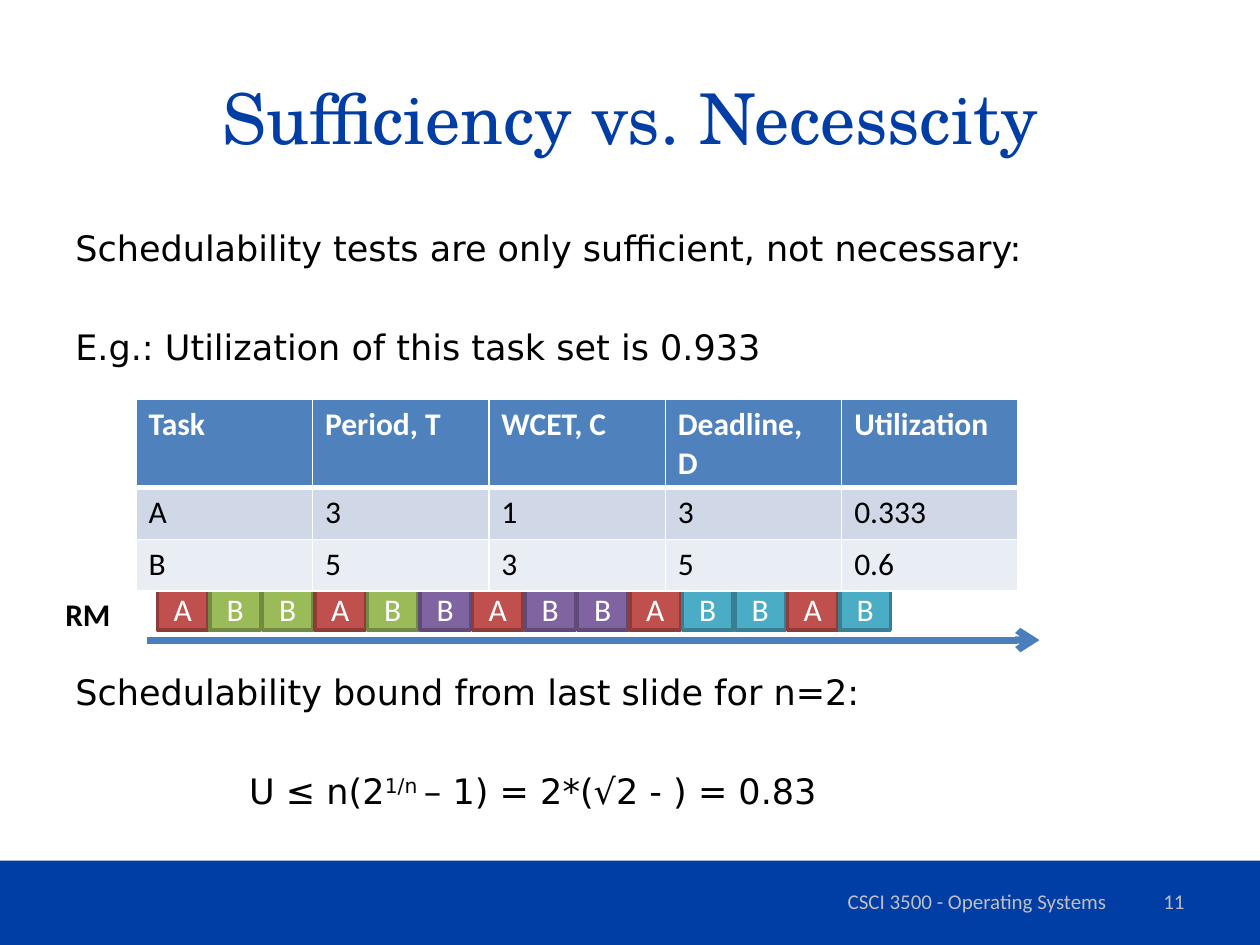
"""Build the slide on sufficiency versus necessity of schedulability tests."""
from pptx import Presentation, util as u
from pptx.dml.color import RGBColor
from pptx.enum import shapes, text
from pptx.oxml import parse_xml
from pptx.oxml.ns import nsdecls

W, H = 10, 7.5
TITLE = "Sufficiency vs. Necesscity"
FORMULA = [("U ≤ n(2", 0), ("1/n ", 30), ("– 1) = 2*(√2 - ) = 0.83", 0)]
BODY = [
    (0, "Schedulability tests are only sufficient, not necessary:"),
    (2, "E.g.: Utilization of this task set is 0.933"),
    (7, "Schedulability bound from last slide for n=2:"),
    (2, FORMULA),
]
TASKS = [
    ("Task", "Period, T", "WCET, C", "Deadline, D", "Utilization"),
    ("A", "3", "1", "3", "0.333"),
    ("B", "5", "3", "5", "0.6"),
]
SCHEDULE = "ABBABBABBABBAB"
PERIOD_B = 5
SLOT = 5 / 12
LINE_PITCH, LINE_HEIGHT = 28, 23.3

BLUE = RGBColor(0x00, 0x3D, 0xA5)
GREY = RGBColor(0xBF, 0xBF, 0xBF)
BLACK = RGBColor(0, 0, 0)
WHITE = RGBColor(0xFF, 0xFF, 0xFF)
AXIS = RGBColor(0x4B, 0x7E, 0xBC)
ROW_FILLS = [RGBColor(0x4F, 0x81, 0xBD), RGBColor(0xD0, 0xD8, 0xE8), RGBColor(0xE9, 0xED, 0xF4)]
JOB_A = (RGBColor(0xC0, 0x50, 0x4D), RGBColor(0x8E, 0x3B, 0x39))
JOBS_B = [
    (RGBColor(0x9B, 0xBB, 0x59), RGBColor(0x73, 0x8A, 0x42)),
    (RGBColor(0x80, 0x64, 0xA2), RGBColor(0x5F, 0x4A, 0x78)),
    (RGBColor(0x4B, 0xAC, 0xC6), RGBColor(0x37, 0x7F, 0x92)),
]
ALIGN, ANCHOR = text.PP_ALIGN, text.MSO_ANCHOR


def inches(*lengths):
    return [u.Inches(n) for n in lengths]


def style(font, size, color, name="Calibri", bold=False):
    font.size, font.name, font.bold = u.Pt(size), name, bold
    font.color.rgb = color


def add_text(s, at, words, size, color, name="Calibri", align=ALIGN.LEFT,
             anchor=ANCHOR.MIDDLE, bold=False, wrap=True):
    tf = s.shapes.add_textbox(*inches(*at)).text_frame
    tf.word_wrap, tf.vertical_anchor = wrap, anchor
    p = tf.paragraphs[0]
    p.text, p.alignment = words, align
    style(p.runs[0].font, size, color, name, bold)


def add_rect(s, at, fill):
    sp = s.shapes.add_shape(shapes.MSO_SHAPE.RECTANGLE, *inches(*at))
    sp.shadow.inherit = False
    sp.fill.solid()
    sp.fill.fore_color.rgb = fill
    return sp


def add_body(s):
    tf = s.shapes.add_textbox(*inches(0.5, 1.75, 9, 4.95)).text_frame
    tf.word_wrap = True
    for i, (lines, content) in enumerate(BODY):
        p = tf.add_paragraph() if i else tf.paragraphs[0]
        if lines:
            p.space_before = u.Pt(lines * LINE_PITCH - LINE_HEIGHT)
        if content is FORMULA:
            p._p.get_or_add_pPr().set("marL", str(u.Inches(1.38)))
        for words, raised in content if content is FORMULA else [(content, 0)]:
            r = p.add_run()
            r.text = words
            style(r.font, 20, BLACK, "DejaVu Sans")
            if raised:
                r.font._element.set("baseline", str(raised * 1000))


def add_timeline(s):
    axis = s.shapes.add_connector(shapes.MSO_CONNECTOR.STRAIGHT, *inches(1.17, 5.08, 8.25, 5.08))
    axis.line.color.rgb, axis.line.width = AXIS, u.Pt(4)
    axis.line._get_or_add_ln().append(parse_xml(f'<a:tailEnd {nsdecls("a")} type="arrow"/>'))
    axis._element.spPr.append(parse_xml(f'<a:effectLst {nsdecls("a")}/>'))
    for i, task in enumerate(SCHEDULE):
        fill, edge = JOB_A if task == "A" else JOBS_B[i // PERIOD_B]
        sp = add_rect(s, (1.25 + i * SLOT, 4.67, 0.4, 0.33), fill)
        sp.line.color.rgb, sp.line.width = edge, u.Pt(2)
        tf = sp.text_frame
        tf.text, tf.vertical_anchor = task, ANCHOR.MIDDLE
        p = tf.paragraphs[0]
        p.alignment = ALIGN.CENTER
        style(p.runs[0].font, 18, WHITE)
    add_text(s, (0.42, 4.67, 0.56, 0.4), "RM", 18, BLACK, anchor=ANCHOR.TOP, bold=True, wrap=False)


def add_borders(cell, row):
    for side in "LRTB":
        thick = (row, side) in ((0, "B"), (1, "T"))
        cell._tc.get_or_add_tcPr().append(parse_xml(
            f'<a:ln{side} {nsdecls("a")} w="{u.Pt(3 if thick else 1)}">'
            f'<a:solidFill><a:srgbClr val="{WHITE}"/></a:solidFill></a:ln{side}>'))


def add_tasks(s):
    rows, cols = len(TASKS), len(TASKS[0])
    table = s.shapes.add_table(rows, cols, *inches(1.08, 3.17, 1.4 * cols, 0.41 * rows)).table
    for i, values in enumerate(TASKS):
        for j, value in enumerate(values):
            cell = table.cell(i, j)
            add_borders(cell, i)
            cell.fill.solid()
            cell.fill.fore_color.rgb = ROW_FILLS[i]
            cell.text = value
            style(cell.text_frame.paragraphs[0].runs[0].font, 18, BLACK if i else WHITE, bold=not i)


def main():
    prs = Presentation()
    prs.slide_width, prs.slide_height = inches(W, H)
    s = prs.slides.add_slide(prs.slide_layouts[6])
    add_rect(s, (0, 6.83, W, 0.67), BLUE).line.fill.background()
    add_text(s, (0.5, 0.3, 9, 1.25), TITLE, 40, BLUE, "TeX Gyre Schola", ALIGN.CENTER)
    add_body(s)
    add_text(s, (6.17, 6.95, 3.17, 0.4), "CSCI 3500 - Operating Systems", 12, GREY, align=ALIGN.CENTER)
    add_text(s, (7.17, 6.95, 2.33, 0.4), "11", 12, GREY, align=ALIGN.RIGHT)
    add_timeline(s)
    add_tasks(s)
    prs.save("out.pptx")


if __name__ == "__main__":
    main()
